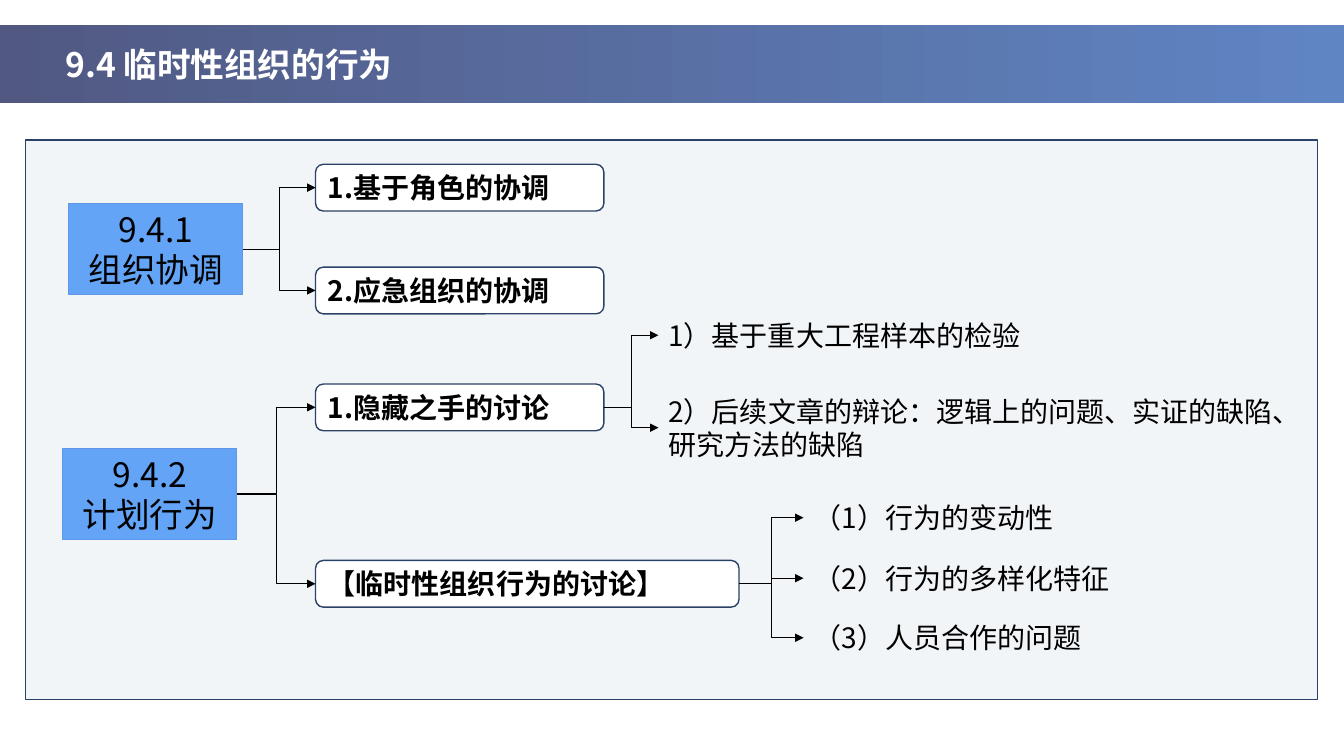
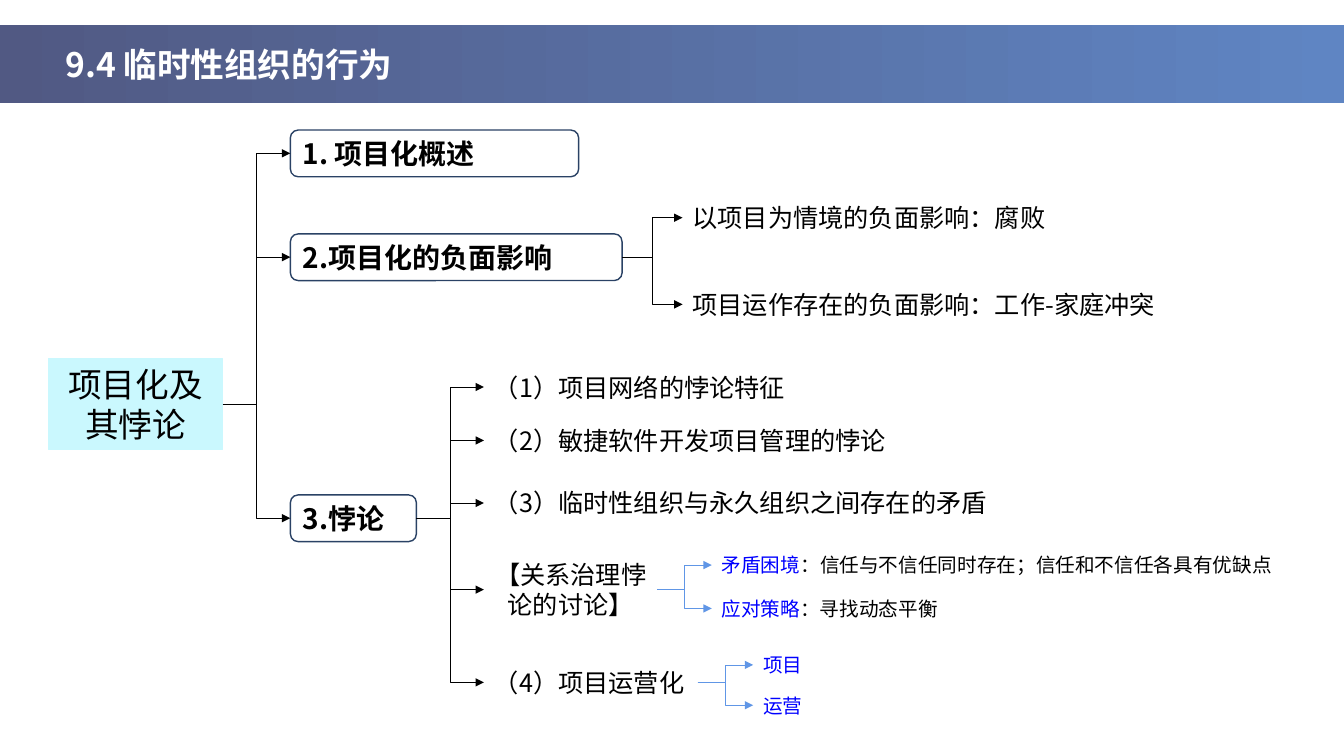
from dataclasses import dataclass

from lxml.etree import SubElement
from pptx import Presentation
from pptx.dml.color import RGBColor
from pptx.enum.shapes import MSO_CONNECTOR as Link, MSO_SHAPE as Preset
from pptx.enum.text import MSO_ANCHOR as Anchor, PP_ALIGN as Align
from pptx.oxml.ns import qn
from pptx.util import Inches, Pt

FONT = "Noto Sans CJK SC"
COLORS = {
    "black": "000000", "white": "FFFFFF", "navy": "2A4265", "panel": "F2F5F8",
    "band_left": "515983", "band_right": "5F85C3", "topic": "63A4F7",
    "edge": "6096E6", "pale": "CAF8FE", "term": "0000FF",
}
LEADING = 1.2  # line height as a multiple of the text size
PADDING = 0.1  # top and bottom insets together, in inches


@dataclass
class Style:
    size: int
    lines: int = 1
    preset: int = Preset.RECTANGLE
    fill: str = ""
    edge: str = ""
    edge_width: float = 0.75
    bold: bool = False
    align: int = Align.LEFT
    anchor: int = Anchor.TOP
    color: str = "black"
    lead_color: str = ""  # for the words before a colon
    link_color: str = "black"  # of the connector leading here
    extra_height: float = 0

    @property
    def height(self):
        return self.lines * self.size * LEADING / 72 + PADDING + self.extra_height


STYLES = {
    "title": Style(24, bold=True, color="white"),
    "topic": Style(24, 2, fill="topic", edge="edge", align=Align.CENTER),
    "pale topic": Style(24, 2, fill="pale", edge="pale", align=Align.CENTER),
    "branch": Style(20, preset=Preset.ROUNDED_RECTANGLE, fill="white", edge="navy",
                    edge_width=1, bold=True, anchor=Anchor.MIDDLE, extra_height=0.03),
    "point": Style(20),
    "long point": Style(20, 2),
    "detail": Style(18),
    "centred detail": Style(18, 2, align=Align.CENTER),
    "note": Style(14, lead_color="term", link_color="edge"),
}


@dataclass
class Node:
    style: str
    left: float
    top: float
    width: float
    text: str
    children: tuple = ()


TITLE = Node("title", 0.55, 0.39, 4.58, "9.4 临时性组织的行为")

COORDINATION = Node("topic", 0.68, 2.02, 1.73, "9.4.1\n组织协调", (
    Node("branch", 3.13, 1.63, 2.86, "1.基于角色的协调"),
    Node("branch", 3.13, 2.65, 2.86, "2.应急组织的协调"),
))
PLANNING = Node("topic", 0.62, 4.45, 1.73, "9.4.2\n计划行为", (
    Node("branch", 3.13, 3.81, 2.86, "1.隐藏之手的讨论", (
        Node("point", 6.53, 3.11, 3.96, "1）基于重大工程样本的检验"),
        Node("long point", 6.53, 3.86, 6.22,
             "2）后续文章的辩论：逻辑上的问题、实证的缺陷、研究方法的缺陷"),
    )),
    Node("branch", 3.13, 5.56, 4.2, "【临时性组织行为的讨论】", (
        Node("point", 7.97, 4.92, 3.87, "（1）行为的变动性"),
        Node("point", 7.97, 5.52, 3.87, "（2）行为的多样化特征"),
        Node("point", 7.97, 6.11, 3.87, "（3）人员合作的问题"),
    )),
))
PARADOXES = Node("pale topic", 0.48, 3.56, 1.73, "项目化及其悖论", (
    Node("branch", 2.88, 1.29, 2.86, "1. 项目化概述"),
    Node("branch", 2.88, 2.32, 3.29, "2.项目化的负面影响", (
        Node("detail", 6.77, 1.96, 5.01, "以项目为情境的负面影响：腐败"),
        Node("detail", 6.77, 2.82, 5.56, "项目运作存在的负面影响：工作-家庭冲突"),
    )),
    Node("branch", 2.88, 4.91, 1.25, "3.悖论", (
        Node("detail", 4.8, 3.64, 3.96, "（1）项目网络的悖论特征"),
        Node("detail", 4.8, 4.17, 6.22, "（2）敏捷软件开发项目管理的悖论"),
        Node("detail", 4.8, 4.79, 5.12, "（3）临时性组织与永久组织之间存在的矛盾"),
        Node("centred detail", 4.8, 5.5, 1.72, "【关系治理悖论的讨论】", (
            Node("note", 7.06, 5.44, 5.72,
                 "矛盾困境：信任与不信任同时存在；信任和不信任各具有优缺点"),
            Node("note", 7.06, 5.87, 4.44, "应对策略：寻找动态平衡"),
        )),
        Node("detail", 4.8, 6.57, 2.12, "（4）项目运营化", (
            Node("note", 7.47, 6.43, 0.88, "项目"),
            Node("note", 7.47, 6.83, 1.29, "运营"),
        )),
    )),
))
# Trees on each slide, and whether they stand on a panel
SLIDES = [([COORDINATION, PLANNING], True), ([PARADOXES], False)]


def rgb(name):
    return RGBColor.from_string(COLORS[name])


def add_box(slide, preset, box, fill="", edge="", edge_width=1):
    shape = slide.shapes.add_shape(preset, *map(Inches, box))
    shape.shadow.inherit = False
    if fill:
        shape.fill.solid()
        shape.fill.fore_color.rgb = rgb(fill)
    if edge:
        shape.line.color.rgb = rgb(edge)
        shape.line.width = Pt(edge_width)
    else:
        shape.line.fill.background()
    return shape


def format_run(run, style, color):
    run.font.name = FONT
    run.font.size = Pt(style.size)
    run.font.bold = style.bold
    run.font.color.rgb = rgb(color)
    SubElement(run.font._element, qn("a:ea")).set("typeface", FONT)


def write(frame, text, style):
    frame.word_wrap = True
    frame.vertical_anchor = style.anchor
    frame.text = text
    for paragraph in frame.paragraphs:
        paragraph.alignment = style.align
        paragraph.line_spacing = Pt(style.size * LEADING)
        run = paragraph.runs[0]
        if style.lead_color:
            lead, colon, rest = run.text.partition("：")
            run.text = lead
            if colon:
                tail = paragraph.add_run()
                tail.text = colon + rest
                format_run(tail, style, style.color)
        format_run(run, style, style.lead_color or style.color)


def add_node(slide, node):
    style = STYLES[node.style]
    box = (node.left, node.top, node.width, style.height)
    if style.fill:
        shape = add_box(slide, style.preset, box, style.fill, style.edge, style.edge_width)
    else:
        shape = slide.shapes.add_textbox(*map(Inches, box))
    write(shape.text_frame, node.text, style)
    return shape


def add_arrow(slide, parent, child, color):
    """Bent arrow from the right side of parent to the left side of child."""
    arrow = slide.shapes.add_connector(Link.ELBOW, 0, 0, 0, 0)
    arrow.begin_connect(parent, 3)
    arrow.end_connect(child, 1)
    arrow.line.color.rgb = rgb(color)
    arrow.line.width = Pt(0.5)
    SubElement(arrow.line._get_or_add_ln(), qn("a:tailEnd")).set("type", "triangle")
    SubElement(arrow._element.spPr, qn("a:effectLst"))


def add_tree(slide, node):
    shape = add_node(slide, node)
    for child in node.children:
        add_arrow(slide, shape, add_tree(slide, child), STYLES[child.style].link_color)
    return shape


def add_header(slide):
    band = add_box(slide, Preset.RECTANGLE, (0, 0.25, 13.33, 0.77))
    band.fill.gradient()
    band.fill.gradient_angle = 0
    for stop, color, position in zip(band.fill.gradient_stops, ("band_left", "band_right"), (0, 1)):
        stop.color.rgb = rgb(color)
        stop.position = position
    add_node(slide, TITLE)


def main():
    deck = Presentation()
    deck.slide_width, deck.slide_height = Inches(13.33), Inches(7.5)
    for trees, on_panel in SLIDES:
        slide = deck.slides.add_slide(deck.slide_layouts[6])
        if on_panel:
            add_box(slide, Preset.RECTANGLE, (0.25, 1.39, 12.82, 5.55), "panel", "navy")
        add_header(slide)
        for tree in trees:
            add_tree(slide, tree)
    deck.save("out.pptx")


if __name__ == "__main__":
    main()
